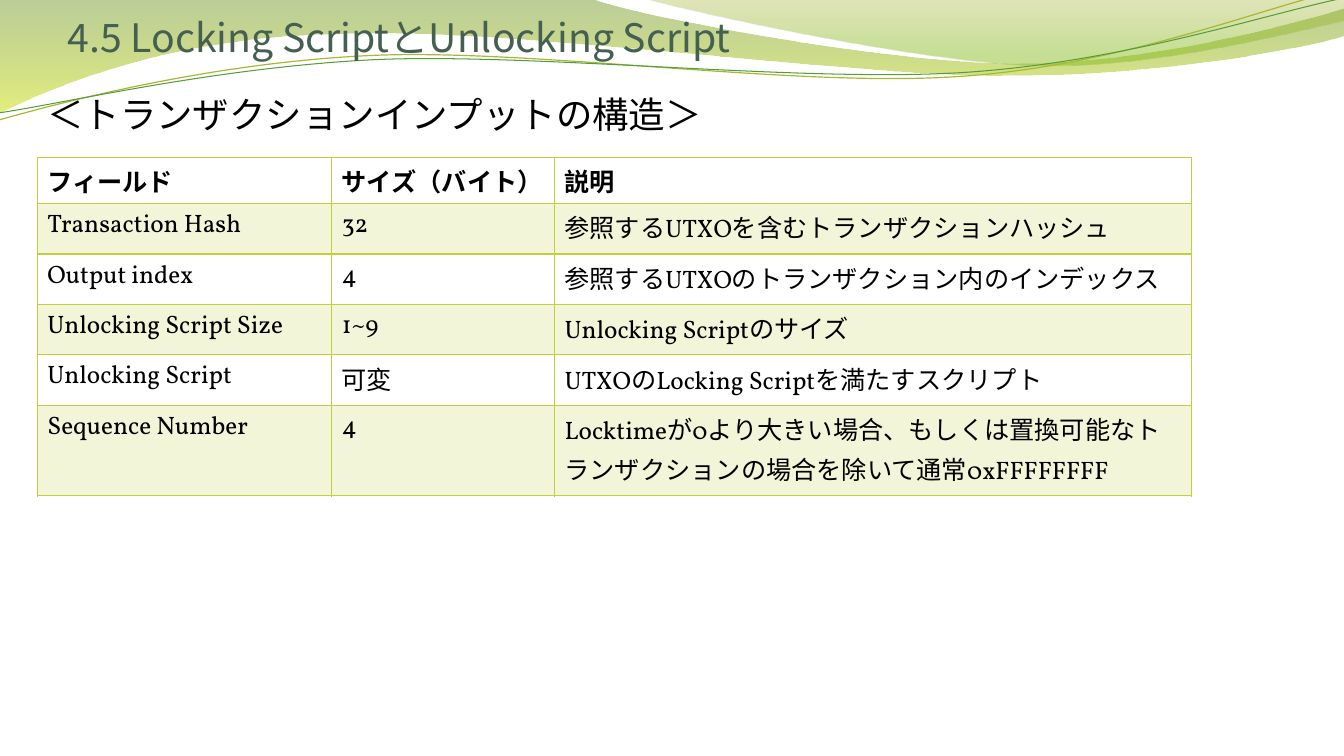
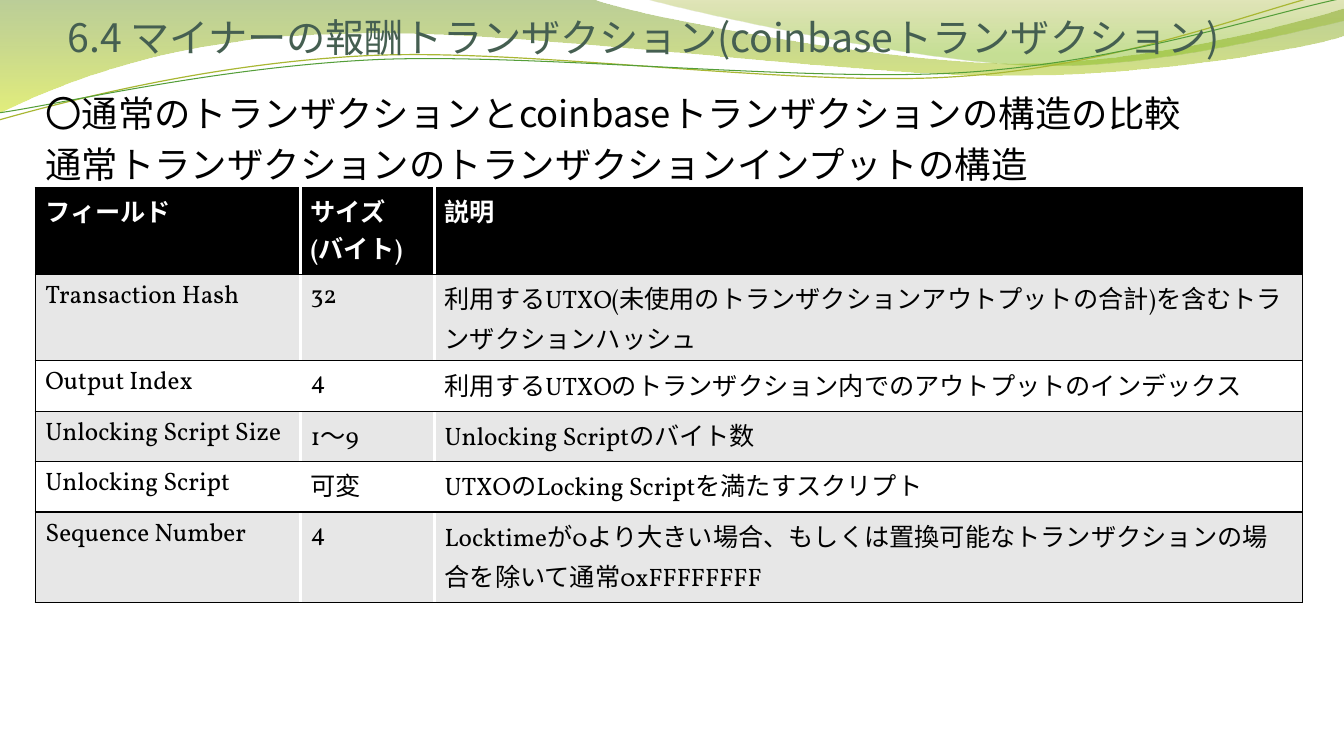
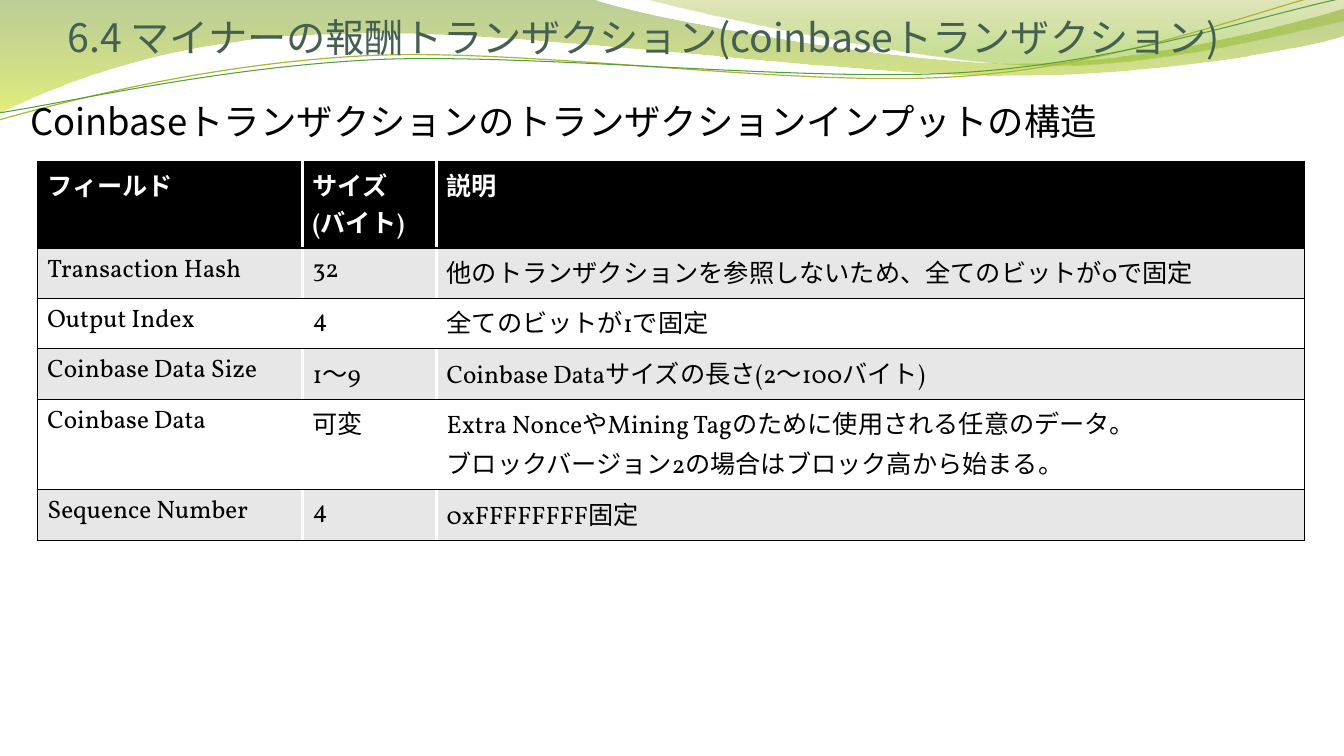
"""Build three slides on the structure of transaction inputs."""
import pptx
import pptx.util
import pptx.dml.color
import pptx.enum.text
import pptx.oxml.ns

Inches, Pt = pptx.util.Inches, pptx.util.Pt
qn = pptx.oxml.ns.qn

COLORS = {
    "title": "455F51", "black": "000000", "white": "FFFFFF", "gray": "E7E7E7",
    "lime": "C0CF3A", "moss": "69921C", "lemon": "CCE10F", "olive": "9BAA1A",
    "leaf": "81BA16", "gold": "A9B733", "green": "549E39",
}
SANS, SERIF = "Noto Sans CJK JP", "Vollkorn"

BANDS = [
    {"start": (0, 0), "steps": [
        (5.87, -0.01),
        (6.34, 0.17, 8.84, 0.63, 10.11, 0.63),
        (11.37, 0.63, 12.77, 0.26, 13.33, 0.09),
        (13.34, 0.36),
        (13.11, 0.44, 11.59, 0.76, 9.94, 0.75),
        (8.29, 0.75, 5.09, 0.28, 3.43, 0.34),
        (1.72, 0.36, 0.61, 0.83, -0.02, 1.13)],
     "stops": [(0, "moss", 45), (1, "lemon", 55)]},
    {"start": (6.38, -0.01), "steps": [
        (6.79, 0.11, 9.09, 0.62, 10.25, 0.65),
        (11.4, 0.69, 12.82, 0.32, 13.33, 0.21),
        (13.33, 0)],
     "stops": [(0, "olive", 30), (0.8, "leaf", 45)]},
    {"start": (-0.01, 1.19), "steps": [
        (0.63, 1.01, 2.1, 0.62, 3.69, 0.55),
        (5.27, 0.48, 7.89, 0.87, 9.49, 0.76),
        (11.1, 0.66, 12.51, 0.08, 13.3, -0.1)],
     "line": ("gold", 0.85)},
    {"start": (-0.01, 1.12), "steps": [
        (0.62, 1.03, 2.18, 0.66, 3.77, 0.59),
        (5.37, 0.53, 7.96, 0.82, 9.55, 0.72),
        (11.14, 0.62, 12.55, 0.14, 13.33, -0.02)],
     "line": ("green", 0.75)},
]

LIME = {"head": None, "ink": "black", "odd": ("lime", 20), "even": None,
        "edge": ("lime", 1), "split": ("lime", 1)}
DARK = {"head": ("black", 100), "ink": "white", "odd": ("gray", 100),
        "even": ("white", 100), "edge": ("black", 1), "split": ("white", 3)}

REWARD = "6.4 マイナーの報酬トランザクション(coinbaseトランザクション)"
HEAD = ("フィールド", "サイズ\n(バイト)", "説明")
LOCK = ("Locktimeが0より大きい場合、もしくは置換可能な"
        "トランザクションの場合を除いて通常0xFFFFFFFF")
MEET = "UTXOのLocking Scriptを満たすスクリプト"

SLIDES = [
    {"title": "4.5 Locking ScriptとUnlocking Script",
     "lead": ["＜トランザクションインプットの構造＞"],
     "box": (0.37, 0.86, 12.92, 5.42),
     "at": (0.37, 1.56), "cols": (2.92, 2.21, 6.32), "look": LIME,
     "highs": (0.46, 0.5, 0.5, 0.5, 0.5, 0.9),
     "rows": [
         ("フィールド", "サイズ（バイト）", "説明"),
         ("Transaction Hash", "32", "参照するUTXOを含むトランザクションハッシュ"),
         ("Output index", "4", "参照するUTXOのトランザクション内のインデックス"),
         ("Unlocking Script Size", "1~9", "Unlocking Scriptのサイズ"),
         ("Unlocking Script", "可変", MEET),
         ("Sequence Number", "4", LOCK)]},
    {"title": REWARD,
     "lead": ["〇通常のトランザクションとcoinbaseトランザクションの構造の比較",
              "通常トランザクションのトランザクションインプットの構造"],
     "box": (0.35, 0.86, 12.77, 1.03),
     "at": (0.35, 1.86), "cols": (2.63, 1.33, 8.61), "look": DARK,
     "highs": (0.86, 0.86, 0.5, 0.5, 0.5, 0.9),
     "rows": [
         HEAD,
         ("Transaction Hash", "32",
          "利用するUTXO(未使用のトランザクションアウトプットの合計)を含む"
          "トランザクションハッシュ"),
         ("Output Index", "4",
          "利用するUTXOのトランザクション内でのアウトプットのインデックス"),
         ("Unlocking Script Size", "1～9", "Unlocking Scriptのバイト数"),
         ("Unlocking Script", "可変", MEET),
         ("Sequence Number", "4", LOCK)]},
    {"title": REWARD,
     "lead": ["Coinbaseトランザクションのトランザクションインプットの構造"],
     "box": (0.2, 0.93, 12.77, 0.72),
     "at": (0.37, 1.6), "cols": (2.63, 1.33, 8.61), "look": DARK,
     "highs": (0.86, 0.5, 0.5, 0.5, 0.9, 0.5),
     "rows": [
         HEAD,
         ("Transaction Hash", "32",
          "他のトランザクションを参照しないため、全てのビットが0で固定"),
         ("Output Index", "4", "全てのビットが1で固定"),
         ("Coinbase Data Size", "1～9", "Coinbase Dataサイズの長さ(2～100バイト)"),
         ("Coinbase Data", "可変",
          "Extra NonceやMining Tagのために使用される任意のデータ。\n"
          "ブロックバージョン2の場合はブロック高から始まる。"),
         ("Sequence Number", "4", "0xFFFFFFFF固定")]},
]


def rgb(name):
    return pptx.dml.color.RGBColor.from_string(COLORS[name])


def fade(color, share):
    color.append(color.makeelement(qn("a:alpha"), {"val": str(share * 1000)}))


def bend(shape, steps):
    lines = list(shape.element.spPr.iter(qn("a:lnTo")))
    for line, step in zip(lines, steps):
        if len(step) == 2:
            continue
        curve = line.makeelement(qn("a:cubicBezTo"), {})
        for x, y in zip(step[::2], step[1::2]):
            spot = {"x": str(Inches(x) - shape.left), "y": str(Inches(y) - shape.top)}
            curve.append(curve.makeelement(qn("a:pt"), spot))
        line.getparent().replace(line, curve)


def add_band(slide, band):
    start = map(Inches, band["start"])
    draft = slide.shapes.build_freeform(*start, scale=1.0)
    ends = [tuple(map(Inches, step[-2:])) for step in band["steps"]]
    draft.add_line_segments(ends, close="stops" in band)
    shape = draft.convert_to_shape()
    bend(shape, band["steps"])
    shape.shadow.inherit = False
    if "line" in band:
        name, width = band["line"]
        shape.fill.background()
        shape.line.color.rgb = rgb(name)
        shape.line.width = Pt(width)
        return
    shape.line.fill.background()
    shape.fill.gradient()
    shape.fill.gradient_angle = 270
    for stop, (place, name, _) in zip(shape.fill.gradient_stops, band["stops"]):
        stop.position = place
        stop.color.rgb = rgb(name)
    tints = list(shape.element.spPr.iter(qn("a:srgbClr")))
    for tint, (_, _, share) in zip(tints, band["stops"]):
        fade(tint, share)


def write(frame, lines, size, font, ink, bold=False, pitch=None, gap=0):
    for i, line in enumerate(lines):
        para = frame.add_paragraph() if i else frame.paragraphs[0]
        para.space_before = Pt(gap)
        if pitch:
            para.line_spacing = pitch
        run = para.add_run()
        run.text = line
        run.font.size = Pt(size)
        run.font.name = font
        run.font.bold = bold
        run.font.color.rgb = rgb(ink)
        props = run.font._element
        props.append(props.makeelement(qn("a:ea"), {"typeface": SANS}))


def add_text(slide, box):
    frame = slide.shapes.add_textbox(*map(Inches, box)).text_frame
    frame.word_wrap = True
    return frame


def add_title(slide, text):
    frame = add_text(slide, (0.67, 0, 12, 0.6))
    frame.margin_left = frame.margin_right = frame.margin_bottom = 0
    frame.vertical_anchor = pptx.enum.text.MSO_ANCHOR.BOTTOM
    write(frame, [text], 28, SANS, "title", pitch=0.8)


def paint(cell, tint):
    if tint is None:
        cell.fill.background()
        return
    name, share = tint
    cell.fill.solid()
    cell.fill.fore_color.rgb = rgb(name)
    if share < 100:
        fade(next(cell._tc.tcPr.iter(qn("a:srgbClr"))), share)


def edge(cell, sides):
    props = cell._tc.get_or_add_tcPr()
    for i, (side, (name, width)) in enumerate(sides.items()):
        line = props.makeelement(qn("a:ln" + side), {"w": str(Pt(width))})
        fill = line.makeelement(qn("a:solidFill"), {})
        fill.append(fill.makeelement(qn("a:srgbClr"), {"val": COLORS[name]}))
        line.append(fill)
        props.insert(i, line)


def add_grid(slide, page):
    rows, cols, highs, look = (page[k] for k in ("rows", "cols", "highs", "look"))
    size = (*page["at"], sum(cols), sum(highs))
    grid = slide.shapes.add_table(len(rows), len(cols), *map(Inches, size)).table
    grid.first_row = grid.horz_banding = False
    for col, width in zip(grid.columns, cols):
        col.width = Inches(width)
    for row, high in zip(grid.rows, highs):
        row.height = Inches(high)
    for r, texts in enumerate(rows):
        for c, text in enumerate(texts):
            cell = grid.cell(r, c)
            ink = "black" if r else look["ink"]
            write(cell.text_frame, text.split("\n"), 18, SERIF, ink, bold=r == 0)
            paint(cell, look["head"] if r == 0 else look["odd" if r % 2 else "even"])
            edge(cell, {
                "L": look["split" if c else "edge"],
                "R": look["split" if c < len(cols) - 1 else "edge"],
                "T": look["edge"],
                "B": look["edge"]})


def main():
    deck = pptx.Presentation()
    deck.slide_width, deck.slide_height = Inches(13.33), Inches(7.5)
    for page in SLIDES:
        slide = deck.slides.add_slide(deck.slide_layouts[6])
        for band in BANDS:
            add_band(slide, band)
        add_title(slide, page["title"])
        write(add_text(slide, page["box"]), page["lead"], 26, SANS, "black", gap=5.2)
        add_grid(slide, page)
    deck.save("out.pptx")


if __name__ == "__main__":
    main()
